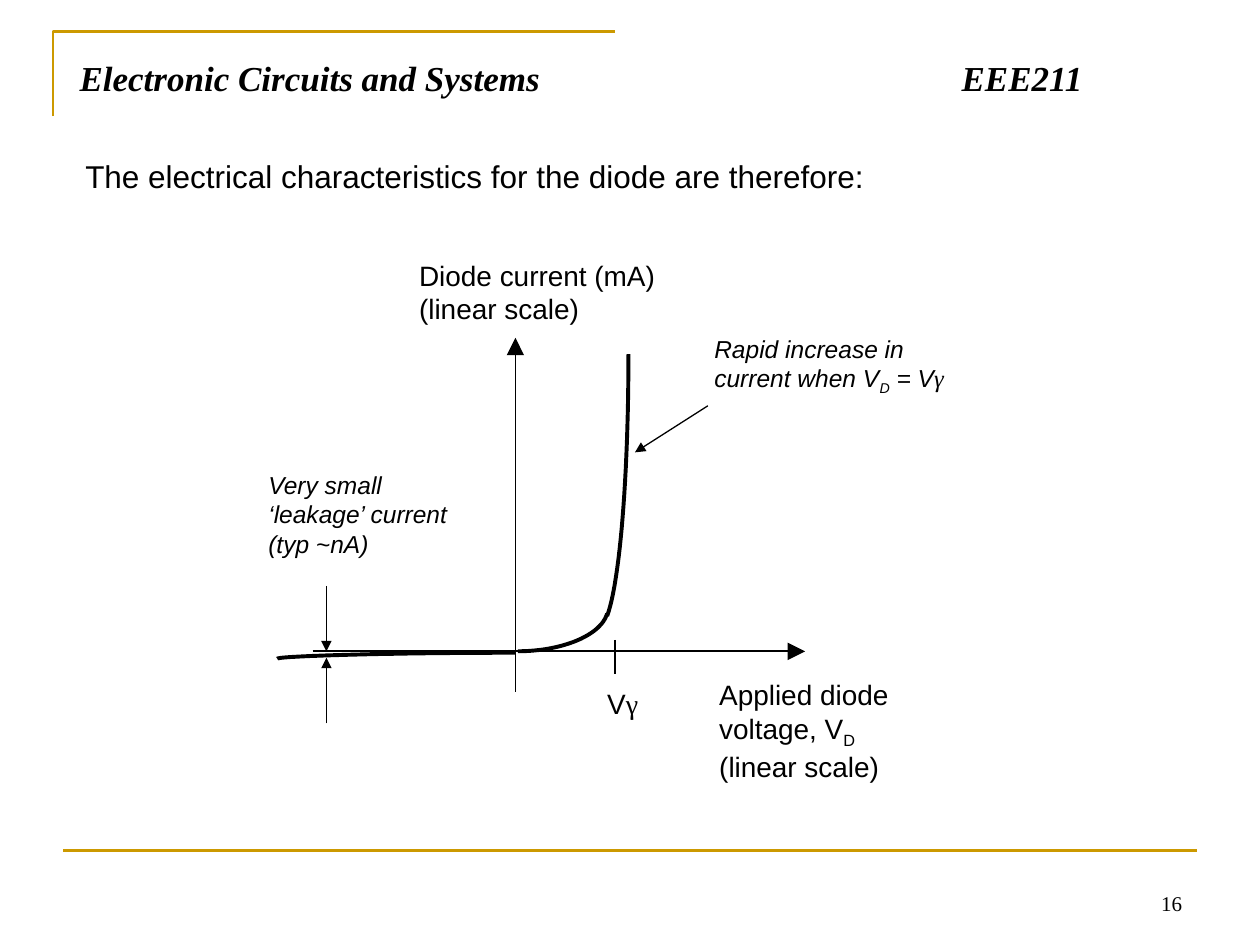
from lxml.etree import SubElement
from pptx import Presentation
from pptx.dml.color import RGBColor
from pptx.enum.shapes import MSO_CONNECTOR
from pptx.enum.text import MSO_ANCHOR, PP_ALIGN
from pptx.oxml.ns import qn
from pptx.util import Cm, Pt

COLOURS = {"ink": "000000", "gold": "CC9900"}
SANS, SERIF = "Arial", "Times New Roman"
CURVE_STEPS = 24


def colour(name):
    return RGBColor.from_string(COLOURS[name])


def place(shape, left, top, width, height):
    shape.left, shape.top = Cm(left), Cm(top)
    shape.width, shape.height = Cm(width), Cm(height)


def format_span(span, size, face=SANS, bold=False, italic=False):
    font = span.font
    font.name, font.size = face, Pt(size)
    font.bold, font.italic = bold, italic
    font.color.rgb = colour("ink")


def add_title(page, text, tab_position):
    title = page.shapes.title
    place(title, 1.35, 1.02, 22.66, 1.55)
    frame = title.text_frame
    frame.text = text
    frame.vertical_anchor = MSO_ANCHOR.TOP
    para = frame.paragraphs[0]
    para.alignment = PP_ALIGN.LEFT
    # The course code lines up on its own tab stop
    tabs = SubElement(para._p.get_or_add_pPr(), qn("a:tabLst"))
    SubElement(tabs, qn("a:tab"), pos=str(Cm(tab_position)), algn="l")
    for span in para.runs:
        format_span(span, 20, SERIF, bold=True, italic=True)


def add_label(page, bounds, parts, size, italic=False):
    """Each part is plain text, or a pair of text and 'sub' or 'greek'."""
    box = page.shapes.add_textbox(*(Cm(length) for length in bounds))
    box.text_frame.word_wrap = True
    para = box.text_frame.paragraphs[0]
    for part in parts:
        text, style = (part, None) if isinstance(part, str) else part
        span = para.add_run()
        span.text = text
        format_span(span, size, SERIF if style == "greek" else SANS, italic=italic)
        if style == "sub":
            span.font._element.set("baseline", "-25000")
    return box


def add_line(page, start, end, width, name="ink", arrow=None):
    line = page.shapes.add_connector(
        MSO_CONNECTOR.STRAIGHT, *(Cm(length) for length in start + end))
    line.line.color.rgb = colour(name)
    line.line.width = Pt(width)
    if arrow:
        SubElement(line.line._get_or_add_ln(), qn("a:tailEnd"),
                   type="triangle", w=arrow, len=arrow)
    SubElement(line._element.spPr, qn("a:effectLst"))


def add_outline(page, points, width, name="ink"):
    corners = [(Cm(x), Cm(y)) for x, y in points]
    builder = page.shapes.build_freeform(*corners[0])
    builder.add_line_segments(corners[1:], close=False)
    outline = builder.convert_to_shape()
    outline.shadow.inherit = False
    outline.fill.background()
    outline.line.color.rgb = colour(name)
    outline.line.width = Pt(width)


def bezier(controls):
    """Points along a cubic curve through four control points."""
    points = []
    for step in range(CURVE_STEPS + 1):
        t = step / CURVE_STEPS
        weights = ((1 - t) ** 3, 3 * t * (1 - t) ** 2, 3 * t ** 2 * (1 - t), t ** 3)
        points.append(tuple(sum(weight * control[axis]
                                for weight, control in zip(weights, controls))
                            for axis in (0, 1)))
    return points


def add_frame(page):
    add_outline(page, [(1.07, 2.34), (1.07, 0.64), (12.4, 0.64)], 1.5, "gold")
    add_line(page, (1.27, 17.15), (24.13, 17.15), 1.5, "gold")
    number = add_label(page, (18.16, 17.32, 5.92, 1.27), [("16", "greek")], 12)
    number.text_frame.vertical_anchor = MSO_ANCHOR.BOTTOM
    number.text_frame.paragraphs[0].alignment = PP_ALIGN.RIGHT


def add_diode_plot(page):
    # Axes and threshold tick
    add_line(page, (6.3, 13.13), (16.23, 13.13), 1, arrow="lg")
    add_line(page, (10.39, 13.94), (10.39, 6.81), 1, arrow="lg")
    add_line(page, (12.4, 12.9), (12.4, 13.59), 1)

    # Knee, steep rise and reverse leakage
    for controls in (
        [(10.44, 13.13), (11.35, 13.13), (12.12, 12.8), (12.24, 12.37)],
        [(12.24, 12.42), (12.5, 11.71), (12.67, 9.58), (12.67, 7.14)],
        [(10.39, 13.16), (7.75, 13.16), (5.59, 13.23), (5.59, 13.28)],
    ):
        add_outline(page, bezier(controls), 2.25)

    # Pointers to the leakage gap and the steep rise
    for start, end in (
        ((6.58, 11.81), (6.58, 13.13)),
        ((6.58, 14.58), (6.58, 13.26)),
        ((14.27, 8.18), (12.8, 9.12)),
    ):
        add_line(page, start, end, 0.75, arrow="med")

    # Axis labels
    add_label(page, (8.2, 5.08, 5.38, 1.63),
              ["Diode current (mA) (linear scale)"], 16)
    add_label(page, (14.25, 13.54, 4.65, 2.29),
              ["Applied diode voltage, V", ("D ", "sub"), "(linear scale)"], 16)
    add_label(page, (11.99, 13.72, 1.24, 0.94), ["V", ("γ", "greek")], 16)

    # Remarks
    add_label(page, (5.16, 9.35, 4.65, 2.03),
              ["Very small ‘leakage’ current (typ ~nA)"], 14, italic=True)
    add_label(page, (14.15, 6.6, 5.33, 1.45),
              ["Rapid increase in current when V", ("D", "sub"), " = V",
               ("γ", "greek")], 14, italic=True)


def main():
    deck = Presentation()
    deck.slide_width, deck.slide_height = Cm(25.4), Cm(19.05)
    page = deck.slides.add_slide(deck.slide_layouts[5])
    add_frame(page)
    add_title(page, "Electronic Circuits and Systems\tEEE211", 17.78)
    add_label(page, (1.47, 3.05, 22.2, 1.02),
              ["The electrical characteristics for the diode are therefore:"], 18)
    add_diode_plot(page)
    deck.save("out.pptx")


if __name__ == "__main__":
    main()
